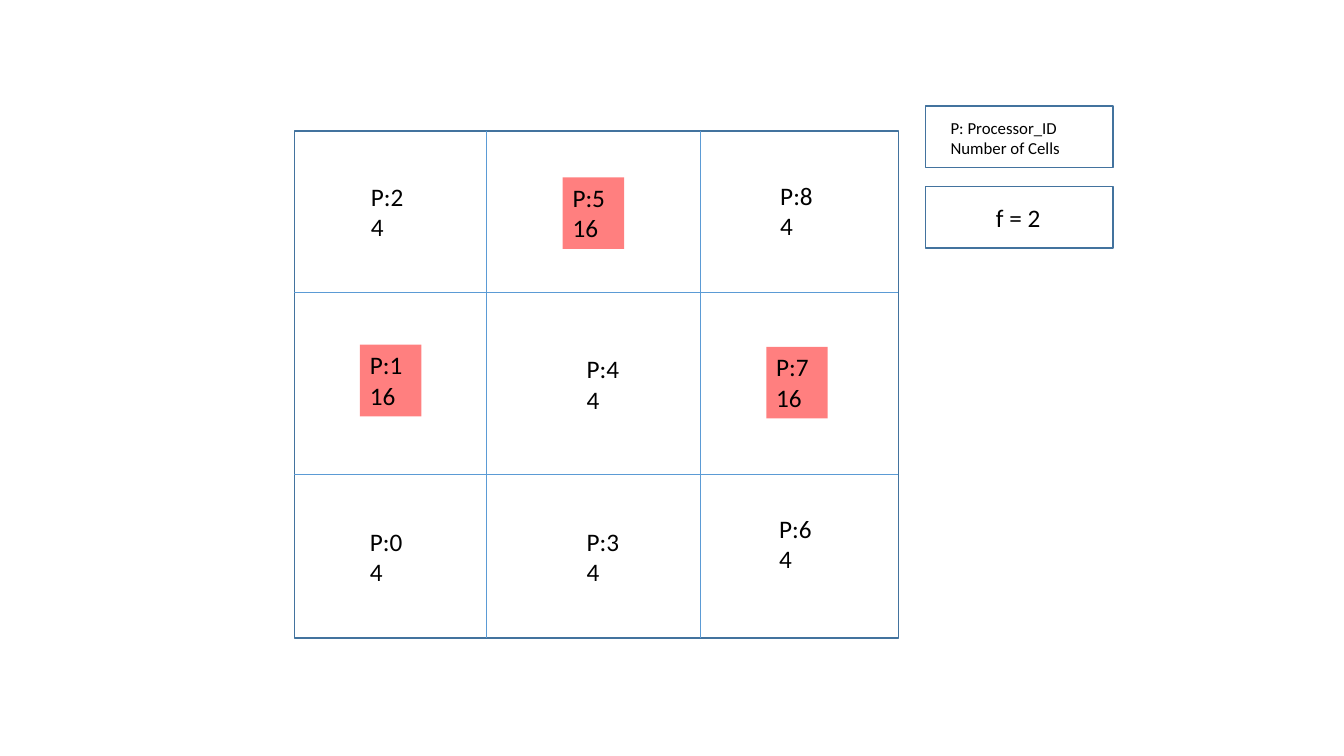
"""Draw a three-by-three processor grid with cell counts and a legend."""
from dataclasses import dataclass

from lxml import etree
from pptx import Presentation
from pptx.dml.color import RGBColor
from pptx.enum import shapes as kinds, text as txt
from pptx.oxml import ns
from pptx.util import Inches, Pt

BLACK = RGBColor(0x00, 0x00, 0x00)
RED = RGBColor(0xFF, 0x00, 0x00)
FRAME_BLUE = RGBColor(0x43, 0x73, 0x9E)
GRID_BLUE = RGBColor(0x5B, 0x9B, 0xD5)
FONT = "Calibri"
COLUMN_EDGES = (2.92, 4.82, 6.95, 8.91)
ROW_EDGES = (1.3, 2.9, 4.71, 6.33)
LABEL_HEIGHT = 0.71


@dataclass(frozen=True)
class Processor:
    """A processor label with its cell count and place."""
    number: int
    cells: int
    left: float
    top: float
    width: float = 0.61
    refined: bool = False


@dataclass(frozen=True)
class LegendEntry:
    """A framed legend entry with its text place."""
    frame_top: float
    lines: tuple[str, ...]
    text_box: tuple[float, float, float, float]
    size: int
    wrap: bool = True


PROCESSORS = (
    Processor(0, 4, 3.57, 5.17),
    Processor(1, 16, 3.57, 3.42, refined=True),
    Processor(2, 4, 3.58, 1.75),
    Processor(3, 4, 5.72, 5.17, 0.73),
    Processor(4, 4, 5.72, 3.46, 0.58),
    Processor(5, 16, 5.58, 1.76, refined=True),
    Processor(6, 4, 7.63, 5.04, 0.58),
    Processor(7, 16, 7.6, 3.44, refined=True),
    Processor(8, 4, 7.64, 1.74, 0.58),
)
LEGEND = (
    LegendEntry(1.05, ("P: Processor_ID", "Number of Cells"), (9.33, 1.12, 1.56, 0.81), 12),
    LegendEntry(1.85, ("f = 2",), (9.78, 1.96, 0.65, 0.4), 18, wrap=False),
)


def add_frame(slide, left: float, top: float, width: float, height: float) -> None:
    """Add an unfilled outlined rectangle."""
    frame = slide.shapes.add_shape(
        kinds.MSO_SHAPE.RECTANGLE, *map(Inches, (left, top, width, height)))
    frame.shadow.inherit = False
    frame.fill.background()
    frame.line.color.rgb = FRAME_BLUE
    frame.line.width = Pt(1)


def add_divider(slide, x1: float, y1: float, x2: float, y2: float) -> None:
    """Add a thin grid line."""
    divider = slide.shapes.add_connector(
        kinds.MSO_CONNECTOR.STRAIGHT, *map(Inches, (x1, y1, x2, y2)))
    divider.line.color.rgb = GRID_BLUE
    divider.line.width = Pt(0.5)
    etree.SubElement(divider._element.spPr, ns.qn("a:effectLst"))


def add_label(slide, box: tuple[float, float, float, float], lines: tuple[str, ...],
              size: int, wrap: bool = True):
    """Add a text box with one paragraph per line and return it."""
    label = slide.shapes.add_textbox(*map(Inches, box))
    frame = label.text_frame
    frame.word_wrap = wrap
    frame.auto_size = txt.MSO_AUTO_SIZE.SHAPE_TO_FIT_TEXT
    for index, line in enumerate(lines):
        paragraph = frame.add_paragraph() if index else frame.paragraphs[0]
        run = paragraph.add_run()
        run.text = line
        run.font.name = FONT
        run.font.size = Pt(size)
        run.font.color.rgb = BLACK
    return label


def add_processor(slide, processor: Processor) -> None:
    """Add a processor label, highlighted when refined."""
    label = add_label(
        slide, (processor.left, processor.top, processor.width, LABEL_HEIGHT),
        (f"P:{processor.number}", str(processor.cells)), 18)
    if processor.refined:
        label.fill.solid()
        label.fill.fore_color.rgb = RED
        color = label._element.spPr.find(".//" + ns.qn("a:srgbClr"))
        etree.SubElement(color, ns.qn("a:alpha"), val="50000")


def add_legend_entry(slide, entry: LegendEntry) -> None:
    """Add a legend frame and its text."""
    add_frame(slide, 9.18, entry.frame_top, 1.86, 0.61)
    add_label(slide, entry.text_box, entry.lines, entry.size, entry.wrap)


def main() -> None:
    """Build and save the slide."""
    deck = Presentation()
    deck.slide_width, deck.slide_height = Inches(13.33), Inches(7.5)
    slide = deck.slides.add_slide(deck.slide_layouts[6])
    left, *inner_columns, right = COLUMN_EDGES
    top, *inner_rows, bottom = ROW_EDGES
    add_frame(slide, left, top, right - left, bottom - top)
    for x in inner_columns:
        add_divider(slide, x, top, x, bottom)
    for y in inner_rows:
        add_divider(slide, left, y, right, y)
    for processor in PROCESSORS:
        add_processor(slide, processor)
    for entry in LEGEND:
        add_legend_entry(slide, entry)
    deck.save("out.pptx")


main()
